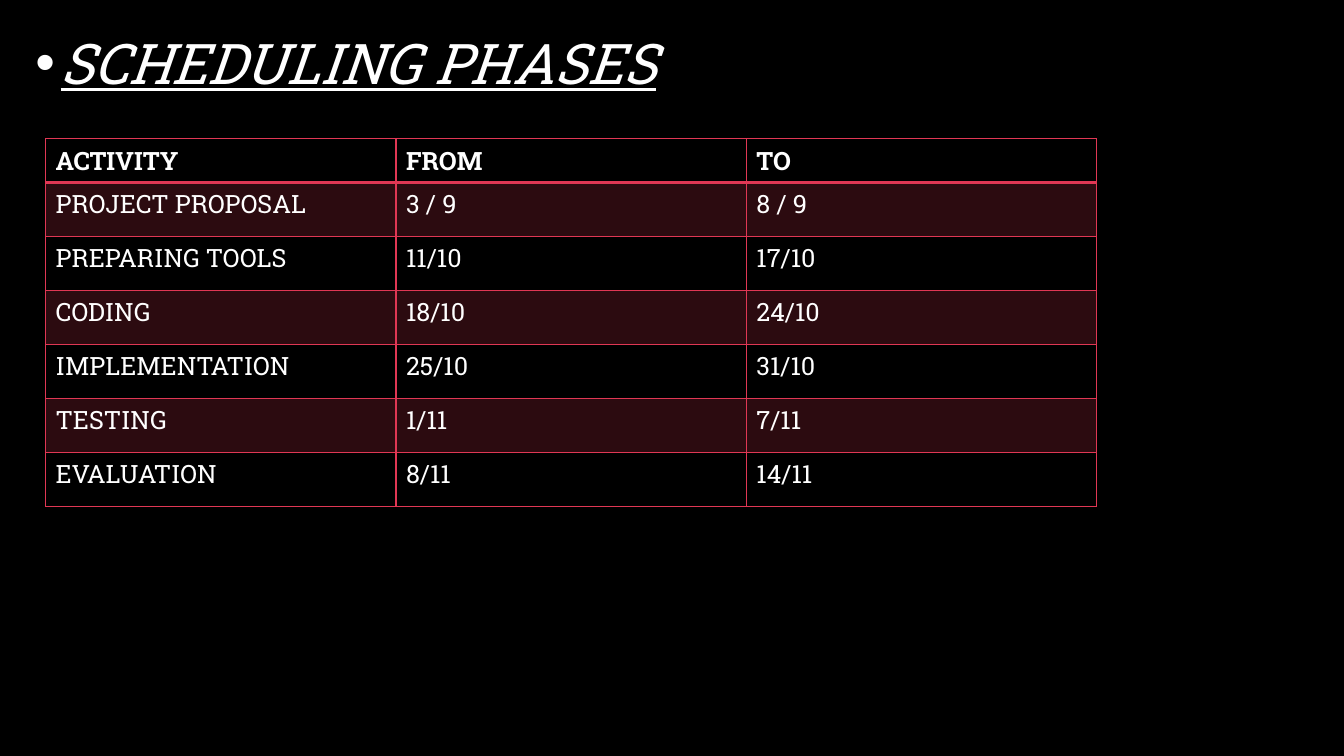
from dataclasses import dataclass

from lxml import etree
from pptx import Presentation
from pptx import util as u
from pptx.dml.color import RGBColor
from pptx.enum import text
from pptx.oxml import ns


@dataclass(frozen=True)
class Theme:
    """Colours, font and type sizes of the slide."""
    background: str = "000000"
    ink: str = "FFFFFF"
    accent: str = "E03754"
    band_opacity: int = 20
    font: str = "Roboto Slab"
    title_size: int = 40
    cell_size: int = 18
    rule: int = 1
    header_rule: int = 2


@dataclass(frozen=True)
class Phase:
    """One row of the schedule."""
    activity: str
    start: str
    end: str


THEME = Theme()
HEADER = Phase("ACTIVITY", "FROM", "TO")
PHASES = [
    Phase("PROJECT PROPOSAL", "3 / 9", "8 / 9"),
    Phase("PREPARING TOOLS", "11/10", "17/10"),
    Phase("CODING", "18/10", "24/10"),
    Phase("IMPLEMENTATION", "25/10", "31/10"),
    Phase("TESTING", "1/11", "7/11"),
    Phase("EVALUATION", "8/11", "14/11"),
]
COLUMN_WIDTH = u.Cm(8.83)
HEADER_HEIGHT = u.Cm(1.1)
ROW_HEIGHT = u.Cm(1.36)


def style_font(paragraph, size: int, bold: bool = False) -> None:
    """Set the common typeface, colour and size of a paragraph."""
    font = paragraph.font
    font.name = THEME.font
    font.size = u.Pt(size)
    font.bold = bold
    font.color.rgb = RGBColor.from_string(THEME.ink)


def add_title(slide, title: str) -> None:
    """Add the bulleted, underlined title."""
    box = slide.shapes.add_textbox(u.Cm(0.64), u.Cm(0.25), u.Cm(28.68), u.Cm(2.5))
    box.text_frame.word_wrap = True
    para = box.text_frame.paragraphs[0]
    para.text = title
    style_font(para, THEME.title_size)
    para.font.italic = True
    para.font.underline = True
    para.line_spacing = 1.2
    para.space_before = u.Pt(10)
    indent = u.Cm(0.64)
    properties = para._p.get_or_add_pPr()
    properties.set("marL", str(indent))
    properties.set("indent", str(-indent))
    bullet_font = etree.Element(ns.qn("a:buFont"), typeface="Arial")
    bullet = etree.Element(ns.qn("a:buChar"), char="•")
    properties.find(ns.qn("a:defRPr")).addprevious(bullet_font)
    bullet_font.addnext(bullet)


def set_borders(cell, top: int, bottom: int) -> None:
    """Draw the four accent borders, with widths in points."""
    widths = {"L": THEME.rule, "R": THEME.rule, "T": top, "B": bottom}
    properties = cell._tc.get_or_add_tcPr()
    for place, (side, width) in enumerate(widths.items()):
        line = etree.Element(ns.qn(f"a:ln{side}"), w=str(u.Pt(width)))
        fill = etree.SubElement(line, ns.qn("a:solidFill"))
        etree.SubElement(fill, ns.qn("a:srgbClr"), val=THEME.accent)
        properties.insert(place, line)


def fill_cell(cell, banded: bool) -> None:
    """Give a banded cell a translucent accent fill, any other cell none."""
    if not banded:
        cell.fill.background()
        return
    cell.fill.solid()
    cell.fill.fore_color.rgb = RGBColor.from_string(THEME.accent)
    colour = cell._tc.tcPr.find(".//" + ns.qn("a:srgbClr"))
    etree.SubElement(colour, ns.qn("a:alpha"), val=str(THEME.band_opacity * 1000))


def add_schedule(slide, rows: list[Phase]) -> None:
    """Add the schedule table; the first row is the header."""
    height = HEADER_HEIGHT + ROW_HEIGHT * (len(rows) - 1)
    table = slide.shapes.add_table(
        len(rows), 3, u.Cm(1.15), u.Cm(3.5), COLUMN_WIDTH * 3, height).table
    table.first_row = False
    table.horz_banding = False
    for index, phase in enumerate(rows):
        table.rows[index].height = ROW_HEIGHT if index else HEADER_HEIGHT
        top = THEME.header_rule if index == 1 else THEME.rule
        bottom = THEME.header_rule if index == 0 else THEME.rule
        for column, wording in enumerate((phase.activity, phase.start, phase.end)):
            cell = table.cell(index, column)
            cell.text = wording
            cell.vertical_anchor = text.MSO_ANCHOR.TOP
            style_font(cell.text_frame.paragraphs[0], THEME.cell_size, bold=index == 0)
            fill_cell(cell, banded=index % 2 == 1)
            set_borders(cell, top, bottom)


def main() -> None:
    """Build and save the deck."""
    deck = Presentation()
    deck.slide_width, deck.slide_height = u.Cm(33.87), u.Cm(19.05)
    page = deck.slides.add_slide(deck.slide_layouts[6])
    page.background.fill.solid()
    page.background.fill.fore_color.rgb = RGBColor.from_string(THEME.background)
    add_title(page, "SCHEDULING PHASES")
    add_schedule(page, [HEADER, *PHASES])
    deck.save("out.pptx")


main()
